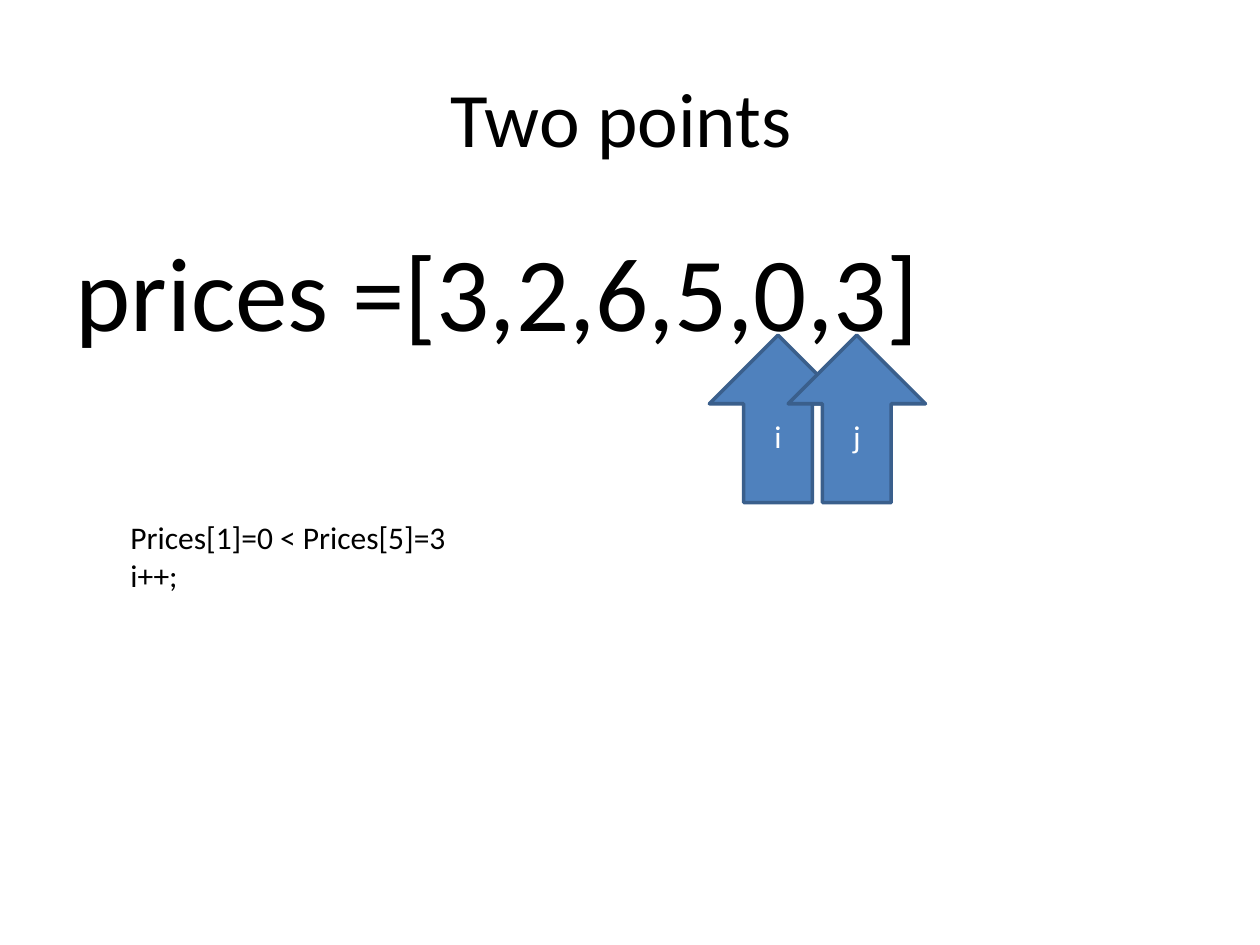
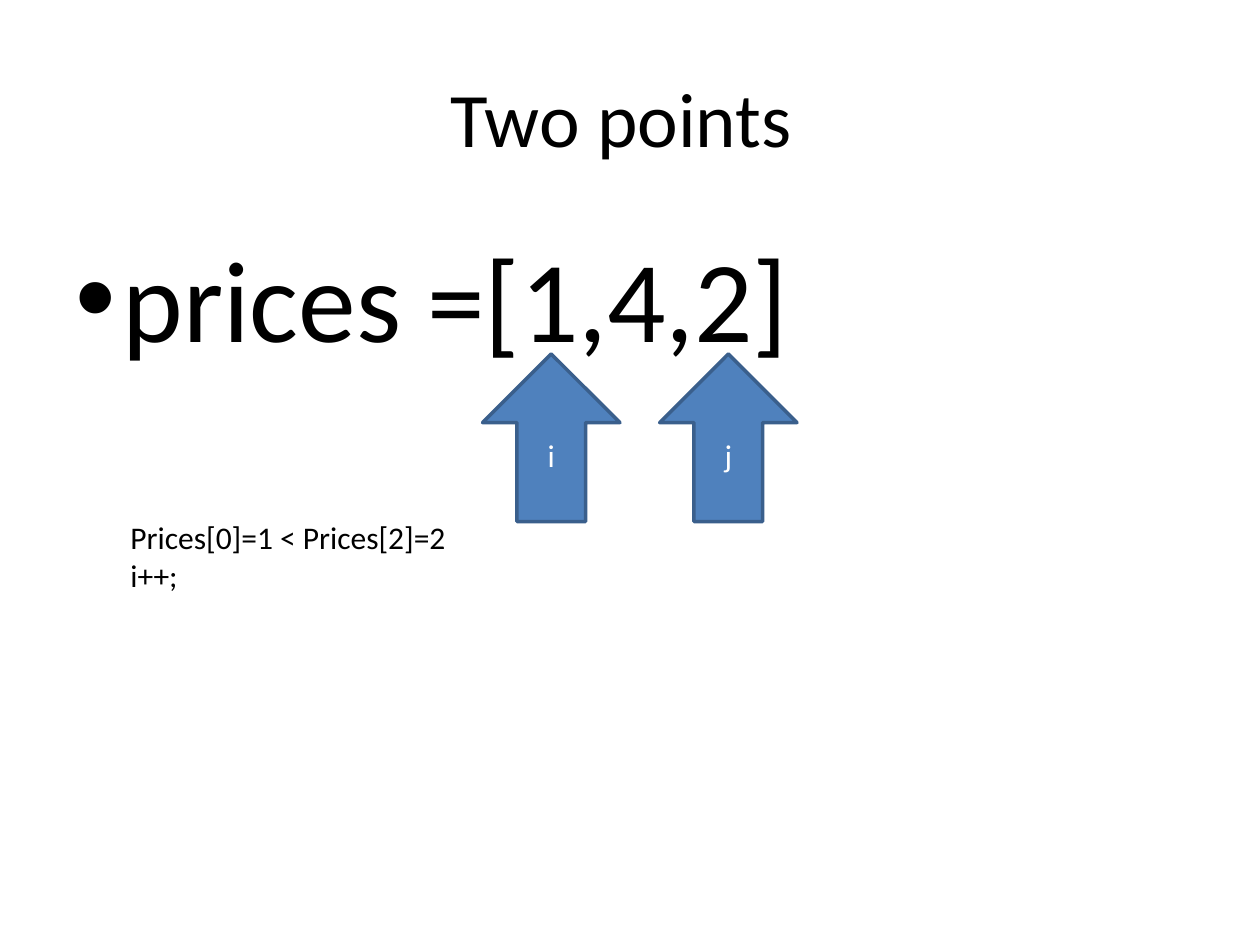
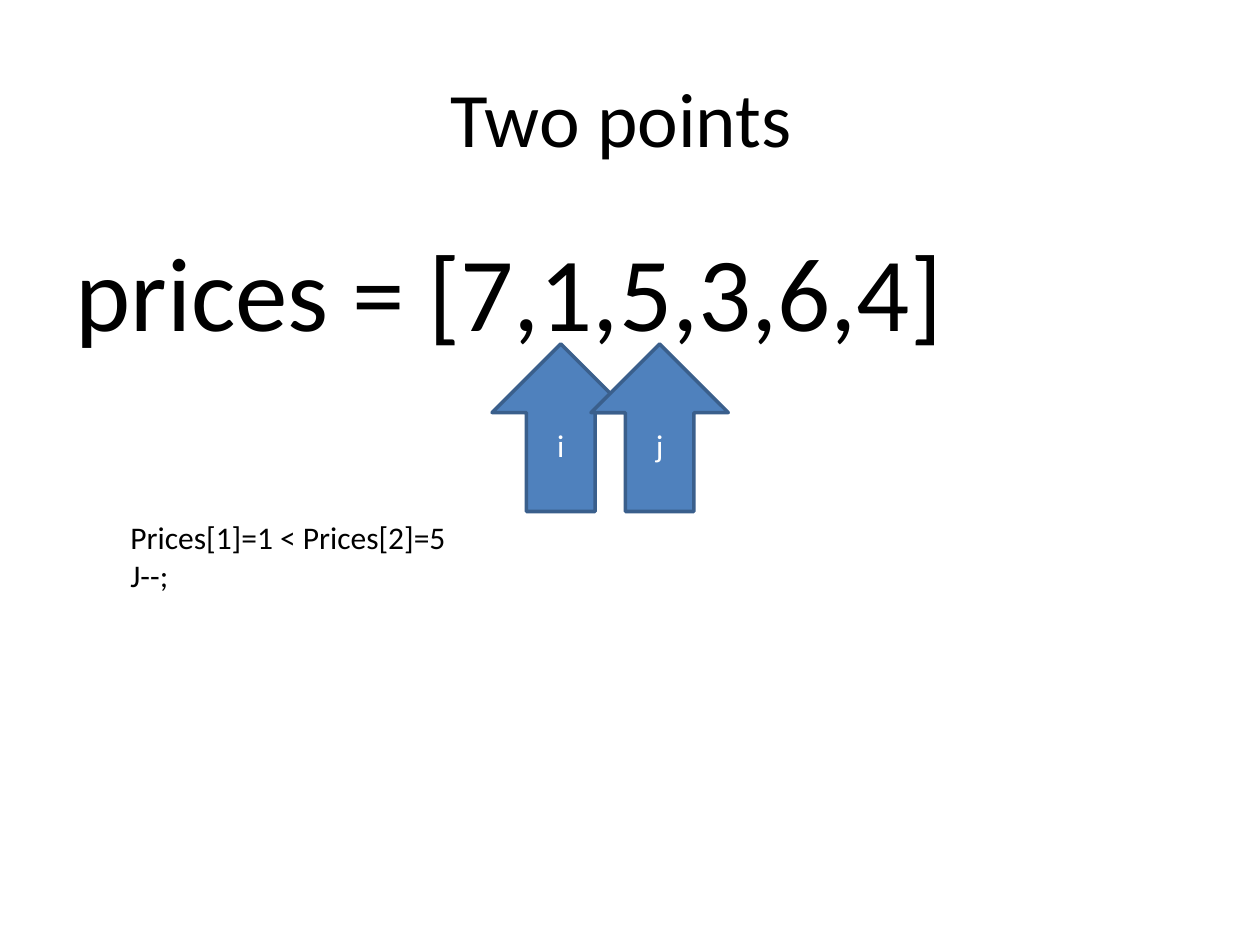
from lxml.etree import SubElement
from pptx import Presentation
from pptx.dml.color import RGBColor
from pptx.enum.shapes import MSO_SHAPE as SHAPE
from pptx.enum.text import MSO_ANCHOR as ANCHOR, PP_ALIGN as ALIGN
from pptx.oxml.ns import qn
from pptx.util import Inches, Pt

BLACK = RGBColor(0x00, 0x00, 0x00)
WHITE = RGBColor(0xFF, 0xFF, 0xFF)
BLUE = RGBColor(0x4F, 0x81, 0xBD)
DARK_BLUE = RGBColor(0x3A, 0x5F, 0x8C)
FONT = "Calibri"

CELL = Inches(0.25)
TITLE_BOX = (2, 1.2, 36, 5)
CAPTION_BOX = (3.75, 16.25, 10.9, 4)
ARROW_COLS, ARROW_ROWS = 4.36, 5.32

STEPS = [
    dict(prices="prices\u00a0=[3,2,6,5,0,3]", size=60, box=(2, 7, 36, 10.2), bullet=False,
         tips=(24.7, 27.2), tip_row=10.64, caption=["Prices[1]=0 < Prices[5]=3", "i++;"]),
    dict(prices="prices\u00a0=[1,4,2]", size=66, box=(2, 7, 36, 6.8), bullet=True,
         tips=(17.5, 23.12), tip_row=11.24, caption=["Prices[0]=1 < Prices[2]=2", "i++;"]),
    dict(prices="prices = [7,1,5,3,6,4]", size=60, box=(2, 7, 34.24, 3.9), bullet=False,
         tips=(17.8, 20.94), tip_row=10.92, caption=["Prices[1]=1 < Prices[2]=5", "J--;"]),
]


def grid(box):
    """Turn a box in columns and rows into slide lengths."""
    return [int(n * CELL) for n in box]


def add_run(p, text, size, color=BLACK):
    """Add one formatted run to a paragraph."""
    r = p.add_run()
    r.text = text
    r.font.name, r.font.size = FONT, Pt(size)
    r.font.color.rgb = color


def set_title(s, box, text):
    """Move the title placeholder into the box and fill it."""
    sp = s.shapes.title
    sp.left, sp.top, sp.width, sp.height = grid(box)
    sp.text_frame.vertical_anchor = ANCHOR.MIDDLE
    p = sp.text_frame.paragraphs[0]
    p.alignment = ALIGN.CENTER
    add_run(p, text, 44)


def add_prices(s, box, text, size, bullet):
    """Add the price list with a hanging indent and an optional bullet."""
    tf = s.shapes.add_textbox(*grid(box)).text_frame
    tf.word_wrap = True
    p = tf.paragraphs[0]
    add_run(p, text, size)
    pPr = p._p.get_or_add_pPr()
    indent = Inches(0.375)
    pPr.set("marL", str(indent))
    pPr.set("indent", str(-indent))
    SubElement(SubElement(pPr, qn("a:spcBef")), qn("a:spcPct"), val="20000")
    if bullet:
        SubElement(pPr, qn("a:buFont"), typeface="Arial")
        SubElement(pPr, qn("a:buChar"), char="•")
    else:
        SubElement(pPr, qn("a:buNone"))


def add_pointer(s, tip_col, tip_row, name):
    """Add an up arrow whose tip is at the given column and row."""
    box = (tip_col - ARROW_COLS / 2, tip_row, ARROW_COLS, ARROW_ROWS)
    sp = s.shapes.add_shape(SHAPE.UP_ARROW, *grid(box))
    sp.shadow.inherit = False
    sp.fill.solid()
    sp.fill.fore_color.rgb = BLUE
    sp.line.color.rgb, sp.line.width = DARK_BLUE, Pt(2)
    sp.text_frame.vertical_anchor = ANCHOR.MIDDLE
    p = sp.text_frame.paragraphs[0]
    p.alignment = ALIGN.CENTER
    add_run(p, name, 18, WHITE)


def add_caption(s, box, lines):
    """Add the comparison and the move that follows from it."""
    tf = s.shapes.add_textbox(*grid(box)).text_frame
    tf.word_wrap = False
    for n, line in enumerate(lines):
        add_run(tf.add_paragraph() if n else tf.paragraphs[0], line, 18)


def add_step(prs, step):
    """Build one slide of the two-pointer walk."""
    s = prs.slides.add_slide(prs.slide_layouts[5])
    set_title(s, TITLE_BOX, "Two points ")
    add_prices(s, step["box"], step["prices"], step["size"], step["bullet"])
    for name, col in zip("ij", step["tips"]):
        add_pointer(s, col, step["tip_row"], name)
    add_caption(s, CAPTION_BOX, step["caption"])


def main():
    """Build and save the presentation."""
    prs = Presentation()
    prs.slide_width, prs.slide_height = 40 * CELL, 30 * CELL
    for step in STEPS:
        add_step(prs, step)
    prs.save("out.pptx")


if __name__ == "__main__":
    main()
